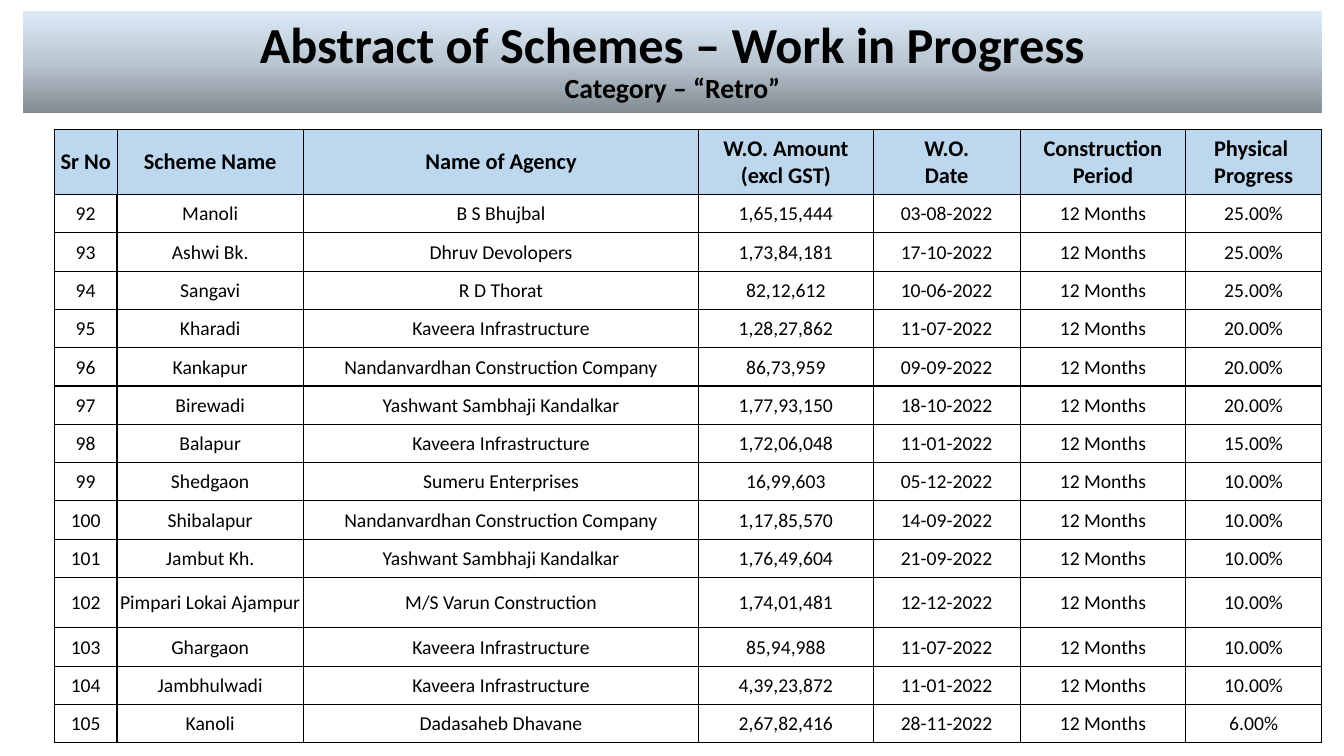
import copy

import lxml.etree
import pptx
import pptx.dml.color
import pptx.enum.shapes
import pptx.enum.text
import pptx.oxml.ns
import pptx.util

Inches = pptx.util.Inches
Pt = pptx.util.Pt

COLORS = {"text": "000000", "border": "000000", "header": "BDD7EE",
          "dark": "838B93", "mid": "BAC6D1", "light": "DCEBF8"}
FONT = "Calibri"
COL_WIDTHS = [0.62, 1.85, 3.92, 1.73, 1.46, 1.64, 1.35]
HEADERS = ["Sr No", "Scheme Name", "Name of Agency", "W.O. Amount\v(excl GST)",
           "W.O.\vDate", "Construction\vPeriod", "Physical \nProgress"]
FIRST_SR_NO = 92
PERIOD = "12 Months"
TALL_SCHEME = "Pimpari Lokai Ajampur"
KAVEERA = "Kaveera Infrastructure"
NANDANVARDHAN = "Nandanvardhan Construction Company"
SCHEMES = [
    ("Manoli", "B S Bhujbal", "1,65,15,444", "03-08-2022", "25.00%"),
    ("Ashwi Bk.", "Dhruv Devolopers", "1,73,84,181", "17-10-2022", "25.00%"),
    ("Sangavi", "R D Thorat", "82,12,612", "10-06-2022", "25.00%"),
    ("Kharadi", KAVEERA, "1,28,27,862", "11-07-2022", "20.00%"),
    ("Kankapur", NANDANVARDHAN, "86,73,959", "09-09-2022", "20.00%"),
    ("Birewadi", "Yashwant Sambhaji Kandalkar", "1,77,93,150", "18-10-2022", "20.00%"),
    ("Balapur", KAVEERA, "1,72,06,048", "11-01-2022", "15.00%"),
    ("Shedgaon", "Sumeru Enterprises", "16,99,603", "05-12-2022", "10.00%"),
    ("Shibalapur", NANDANVARDHAN, "1,17,85,570", "14-09-2022", "10.00%"),
    ("Jambut Kh.", "Yashwant Sambhaji Kandalkar", "1,76,49,604", "21-09-2022", "10.00%"),
    (TALL_SCHEME, "M/S Varun Construction", "1,74,01,481", "12-12-2022", "10.00%"),
    ("Ghargaon", KAVEERA, "85,94,988", "11-07-2022", "10.00%"),
    ("Jambhulwadi", KAVEERA, "4,39,23,872", "11-01-2022", "10.00%"),
    ("Kanoli", "Dadasaheb Dhavane", "2,67,82,416", "28-11-2022", "6.00%"),
]


def rgb(name):
    """Return the named colour."""
    return pptx.dml.color.RGBColor.from_string(COLORS[name])


def style_font(font, size, bold):
    """Set the face, size, weight and colour of a font."""
    font.name = FONT
    font.size = Pt(size)
    font.bold = bold
    font.color.rgb = rgb("text")


def fill_gradient(fill, names):
    """Fill with evenly spaced colours running from bottom to top."""
    fill.gradient()
    fill.gradient_angle = 90
    gs_list = fill._fill._gradFill.gsLst
    for _ in names[2:]:
        gs_list.append(copy.deepcopy(gs_list[0]))
    for i, (stop, name) in enumerate(zip(fill.gradient_stops, names)):
        stop.position = i / (len(names) - 1)
        stop.color.rgb = rgb(name)


def add_title(s, title, category):
    """Add the gradient banner with its title and category."""
    sp = s.shapes.add_shape(pptx.enum.shapes.MSO_SHAPE.RECTANGLE,
                            Inches(0.23), Inches(0.11), Inches(12.88), Inches(1.01))
    sp.shadow.inherit = False
    sp.line.fill.background()
    fill_gradient(sp.fill, ["dark", "mid", "light"])
    tf = sp.text_frame
    tf.word_wrap = True
    tf.vertical_anchor = pptx.enum.text.MSO_ANCHOR.MIDDLE
    p = tf.paragraphs[0]
    p.alignment = pptx.enum.text.PP_ALIGN.CENTER
    p.line_spacing = 0.9
    r = p.add_run()
    r.text = title
    style_font(r.font, 36, True)
    p.add_line_break()
    r = p.add_run()
    r.text = category
    style_font(r.font, 19.8, True)


def set_borders(cell, widths):
    """Draw solid cell borders with the given width for each side."""
    tc_pr = cell._tc.get_or_add_tcPr()
    qn = pptx.oxml.ns.qn
    for side, width in zip("LRTB", widths):
        ln = lxml.etree.SubElement(tc_pr, qn(f"a:ln{side}"), w=str(Pt(width)))
        solid = lxml.etree.SubElement(ln, qn("a:solidFill"))
        lxml.etree.SubElement(solid, qn("a:srgbClr"), val=COLORS["border"])


def fill_cell(cell, text, size, bold, fill, borders):
    """Write and format one centred table cell."""
    cell.margin_left = cell.margin_right = cell.margin_top = Inches(0.01)
    cell.margin_bottom = 0
    cell.vertical_anchor = pptx.enum.text.MSO_ANCHOR.MIDDLE
    cell.text = text
    for p in cell.text_frame.paragraphs:
        p.alignment = pptx.enum.text.PP_ALIGN.CENTER
        style_font(p.font, size, bold)
    set_borders(cell, borders)
    if fill:
        cell.fill.solid()
        cell.fill.fore_color.rgb = rgb(fill)
    else:
        cell.fill.background()


def add_grid(s, top, rows, heights, size, bold=False, fill=None, borders=(1, 1, 1, 1)):
    """Add a table of equally formatted cells."""
    frame = s.shapes.add_table(len(rows), len(COL_WIDTHS), Inches(0.54), Inches(top),
                               Inches(sum(COL_WIDTHS)), Inches(sum(heights)))
    table = frame.table
    table.first_row = table.horz_banding = False
    for col, width in zip(table.columns, COL_WIDTHS):
        col.width = Inches(width)
    for row, height, values in zip(table.rows, heights, rows):
        row.height = Inches(height)
        for cell, text in zip(row.cells, values):
            fill_cell(cell, text, size, bold, fill, borders)


def main():
    """Build the slide and save it."""
    prs = pptx.Presentation()
    prs.slide_width = Inches(13.33)
    prs.slide_height = Inches(7.5)
    s = prs.slides.add_slide(prs.slide_layouts[6])
    add_title(s, "Abstract of Schemes – Work in Progress", "Category – “Retro”")
    add_grid(s, 1.28, [HEADERS], [0.65], 16, True, "header", (0.5, 0.5, 0.5, 1))
    rows = [(str(number), scheme, agency, amount, date, PERIOD, progress)
            for number, (scheme, agency, amount, date, progress)
            in enumerate(SCHEMES, FIRST_SR_NO)]
    heights = [0.5 if scheme[0] == TALL_SCHEME else 0.38 for scheme in SCHEMES]
    add_grid(s, 1.93, rows, heights, 14)
    prs.save("out.pptx")


if __name__ == "__main__":
    main()
